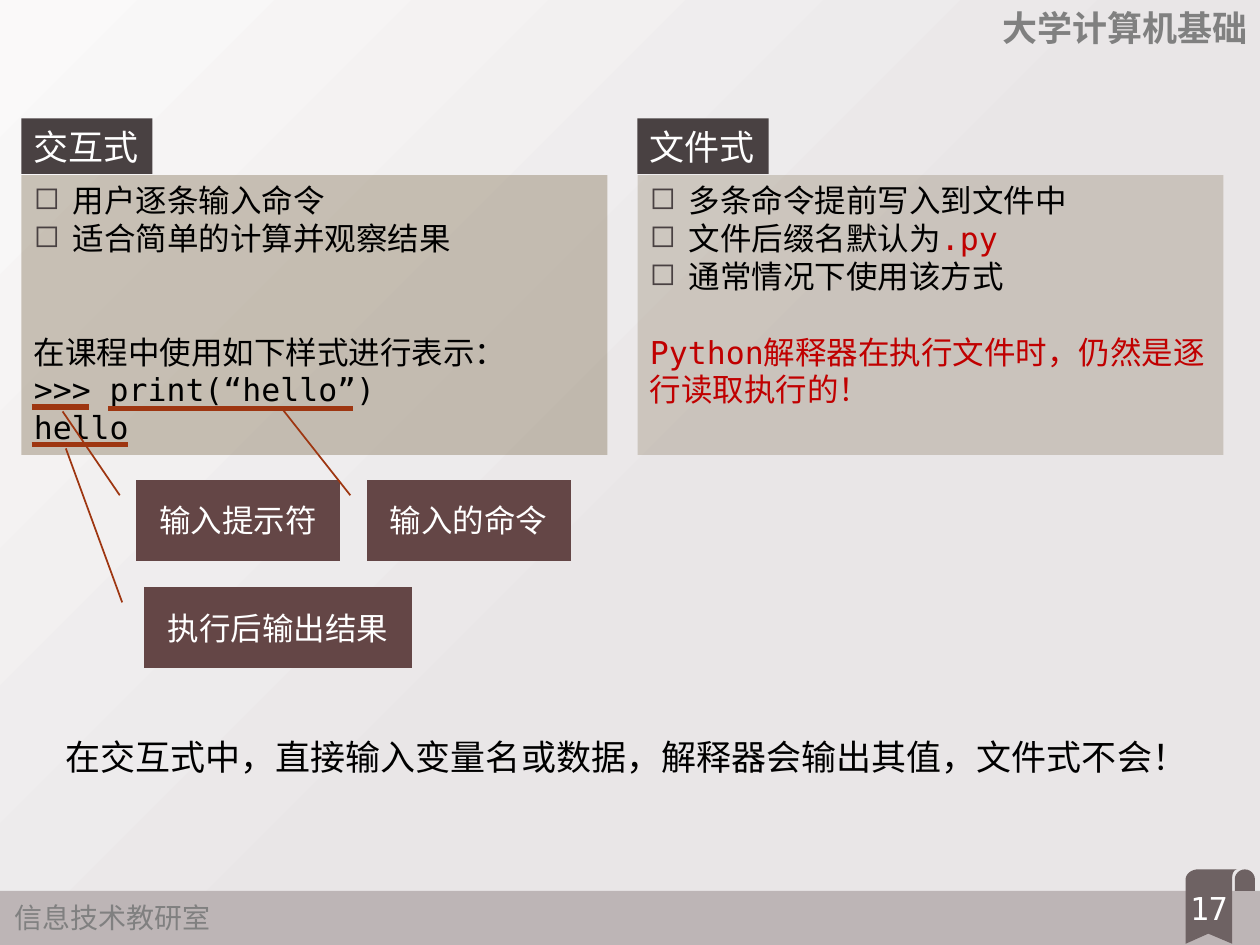
from math import cos, radians, sin

from lxml.etree import SubElement
from pptx import Presentation
from pptx.dml.color import RGBColor
from pptx.enum.shapes import MSO_CONNECTOR as Connector, MSO_SHAPE as Shape
from pptx.enum.text import MSO_ANCHOR as Anchor, MSO_AUTO_SIZE as AutoSize, PP_ALIGN as Align
from pptx.oxml.ns import qn
from pptx.util import Inches, Pt

COLORS = {
    "light": "FAF9F9", "base": "E9E6E7", "footer": "BDB5B6", "ribbon": "6E6263",
    "gray": "808080", "white": "FFFFFF", "black": "000000", "red": "C00000",
    "heading": "494142", "panel": "7C6B4D", "callout": "644646", "rust": "9E3611",
}
MONO = "DejaVu Sans Mono"
CJK = "Noto Sans CJK JP"
LINE_GAP = 21.6


def color(name):
    """Return the named colour."""
    return RGBColor.from_string(COLORS[name])


def paint_background(page):
    """Fill the page with the diagonal gradient."""
    fill = page.background.fill
    fill.gradient()
    fill.gradient_angle = 315
    for stop, position, name in zip(fill.gradient_stops, (0, 0.56), ("light", "base")):
        stop.position = position
        stop.color.rgb = color(name)


def add_span(para, text, size, name, font=MONO, bold=False):
    """Append one run with its Latin and East Asian fonts."""
    span = para.add_run()
    span.text = text
    span.font.size = Pt(size)
    span.font.bold = bold
    span.font.name = font
    span.font.color.rgb = color(name)
    SubElement(span.font._element, qn("a:ea"), typeface=CJK)


def add_bullet(para):
    """Give a paragraph a hollow square bullet and a hanging indent."""
    properties = para._p.get_or_add_pPr()
    properties.set("marL", str(Inches(0.31)))
    properties.set("indent", str(-Inches(0.31)))
    bullet_color = SubElement(properties, qn("a:buClr"))
    SubElement(bullet_color, qn("a:srgbClr"), val=COLORS["heading"])
    SubElement(properties, qn("a:buChar"), char="◻")


def add_label(page, area, text, size, name, font=MONO, bold=False, align=Align.LEFT, wrap=False):
    """Add a text box holding one line."""
    box = page.shapes.add_textbox(*map(Inches, area))
    box.text_frame.word_wrap = wrap
    para = box.text_frame.paragraphs[0]
    para.alignment = align
    add_span(para, text, size, name, font, bold)


def add_block(page, area, fill, kind=Shape.RECTANGLE, alpha=None):
    """Add a filled shape without outline or shadow."""
    block = page.shapes.add_shape(kind, *map(Inches, area))
    block.shadow.inherit = False
    block.fill.solid()
    block.fill.fore_color.rgb = color(fill)
    block.line.fill.background()
    if alpha:
        tint = block._element.spPr.find(qn("a:solidFill"))[0]
        SubElement(tint, qn("a:alpha"), val=str(alpha * 1000))
    return block


def add_panel(page, left, title, paragraphs, alpha):
    """Add a heading tab and the translucent panel below it."""
    tab = add_block(page, (left, 0.94, 1.04, 0.44), "heading")
    tab.text_frame.word_wrap = False
    tab.text_frame.paragraphs[0].alignment = Align.LEFT
    add_span(tab.text_frame.paragraphs[0], title, 20, "white")
    panel = add_block(page, (left, 1.39, 4.65, 2.22), "panel", alpha=alpha)
    frame = panel.text_frame
    frame.word_wrap = True
    frame.auto_size = AutoSize.NONE
    frame.vertical_anchor = Anchor.TOP
    for index, (bulleted, skipped, spans) in enumerate(paragraphs):
        para = frame.add_paragraph() if index else frame.paragraphs[0]
        para.alignment = Align.LEFT
        if skipped:
            para.space_before = Pt(skipped * LINE_GAP)
        if bulleted:
            add_bullet(para)
        for text, name in spans:
            add_span(para, text, 18, name)


def add_callout(page, area, text, adjustments):
    """Add a borderless callout with its leader line."""
    callout = add_block(page, area, "callout", Shape.LINE_CALLOUT_1_NO_BORDER)
    callout.line.color.rgb = color("rust")
    callout.line.width = Pt(1)
    for index, value in enumerate(adjustments):
        callout.adjustments[index] = value
    callout.text_frame.vertical_anchor = Anchor.MIDDLE
    para = callout.text_frame.paragraphs[0]
    para.alignment = Align.CENTER
    add_span(para, text, 18, "white")


def add_underline(page, left, right, top):
    """Draw a thick horizontal line under a piece of code."""
    line = page.shapes.add_connector(
        Connector.STRAIGHT, Inches(left), Inches(top), Inches(right), Inches(top))
    line.line.color.rgb = color("rust")
    line.line.width = Pt(3)
    SubElement(line._element.spPr, qn("a:effectLst"))


def arc(x, y, radius_x, radius_y, start, end):
    """Return points along an elliptical arc, angles in degrees."""
    angles = [radians(start + (end - start) * step / 12) for step in range(13)]
    return [(x + radius_x * cos(a), y - radius_y * sin(a)) for a in angles]


def add_ribbon(page):
    """Draw the page number ribbon and its rolled end."""
    roll = arc(9.88, 6.98, 0.08, 0.08, 180, 0) + [(9.96, 7.07), (9.8, 7.07)]
    tail = [(9.78, 7.49), (9.59, 7.41), (9.41, 7.49)]
    ribbon = (arc(9.51, 6.98, 0.1, 0.08, 180, 90)
              + arc(9.82, 6.96, 0.04, 0.06, 90, 180) + tail)
    contours = [[(Inches(x), Inches(y)) for x, y in points] for points in (roll, ribbon)]
    builder = page.shapes.build_freeform(*contours[0][0])
    builder.add_line_segments(contours[0][1:])
    builder.move_to(*contours[1][0])
    builder.add_line_segments(contours[1][1:])
    outline = builder.convert_to_shape()
    outline.shadow.inherit = False
    outline.fill.solid()
    outline.fill.fore_color.rgb = color("ribbon")
    outline.line.fill.background()


def main():
    """Build the slide and save it."""
    deck = Presentation()
    deck.slide_width, deck.slide_height = Inches(10), Inches(7.5)
    page = deck.slides.add_slide(deck.slide_layouts[6])
    paint_background(page)
    add_block(page, (0, 7.07, 10, 0.43), "footer")
    add_ribbon(page)
    add_label(page, (0.02, 7.1, 1.77, 0.37), "信息技术教研室", 16, "gray", CJK)
    add_label(page, (7.83, 0, 2.17, 0.44), "大学计算机基础", 20, "gray", CJK, True, Align.RIGHT, True)
    add_label(page, (9.24, 7.01, 0.71, 0.4), "17", 18, "white", align=Align.CENTER, wrap=True)

    add_panel(page, 0.17, "交互式", [
        (True, 0, [("用户逐条输入命令", "black")]),
        (True, 0, [("适合简单的计算并观察结果", "black")]),
        (False, 2, [("在课程中使用如下样式进行表示：", "black")]),
        (False, 0, [(">>> print(“hello”)", "black")]),
        (False, 0, [("hello", "black")]),
    ], 38)
    add_panel(page, 5.06, "文件式", [
        (True, 0, [("多条命令提前写入到文件中", "black")]),
        (True, 0, [("文件后缀名默认为", "black"), (".py", "red")]),
        (True, 0, [("通常情况下使用该方式", "black")]),
        (False, 1, [("Python解释器在执行文件时，仍然是逐行读取执行的！", "red")]),
    ], 28)
    add_label(page, (0.42, 5.79, 9.18, 0.44),
              "在交互式中，直接输入变量名或数据，解释器会输出其值，文件式不会！", 20, "black")

    for left, right, top in ((0.25, 0.71, 3.23), (0.86, 2.8, 3.24), (0.25, 1.02, 3.53)):
        add_underline(page, left, right, top)
    for area, text, target in (
        ((1.08, 3.81, 1.62, 0.64), "输入提示符", (-0.85, -0.36)),
        ((2.91, 3.81, 1.62, 0.64), "输入的命令", (-0.87, -0.41)),
        ((1.14, 4.66, 2.13, 0.64), "执行后输出结果", (-1.72, -0.29)),
    ):
        add_callout(page, area, text, (0.19, -0.08, *target))
    deck.save("out.pptx")


if __name__ == "__main__":
    main()
